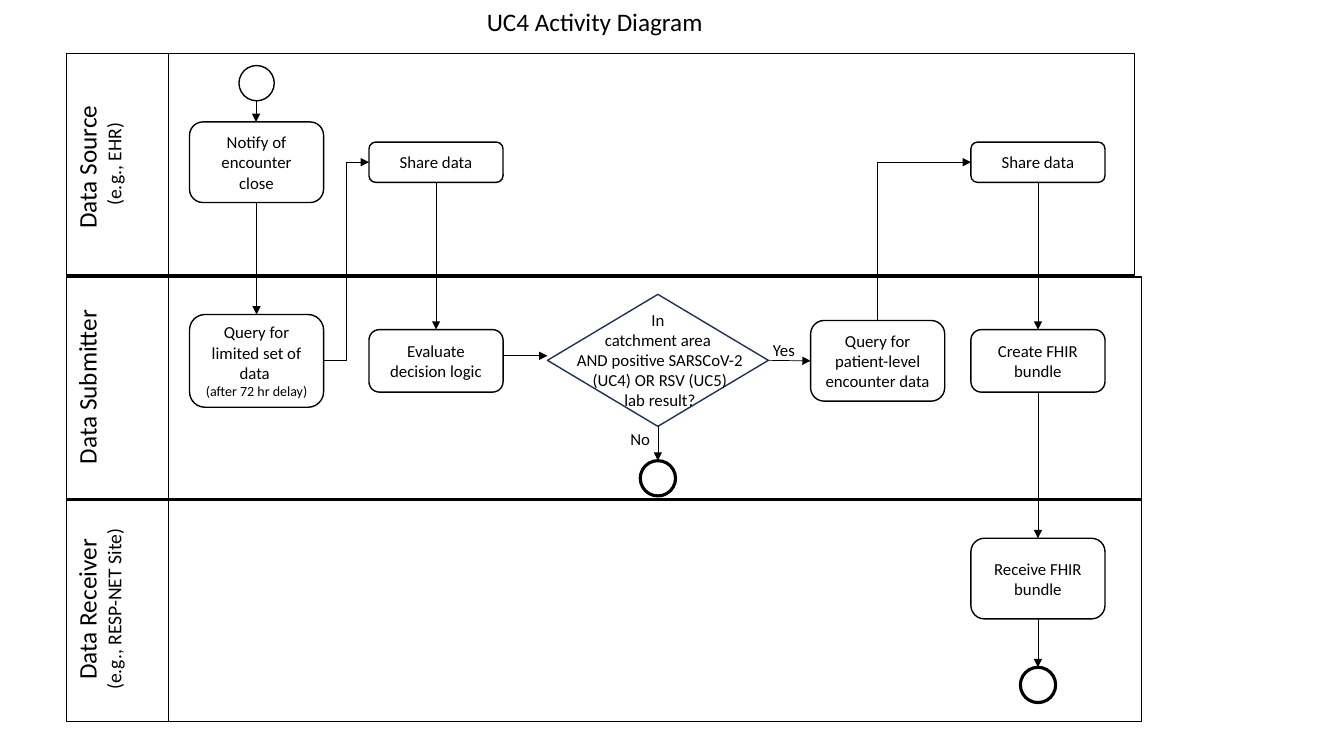
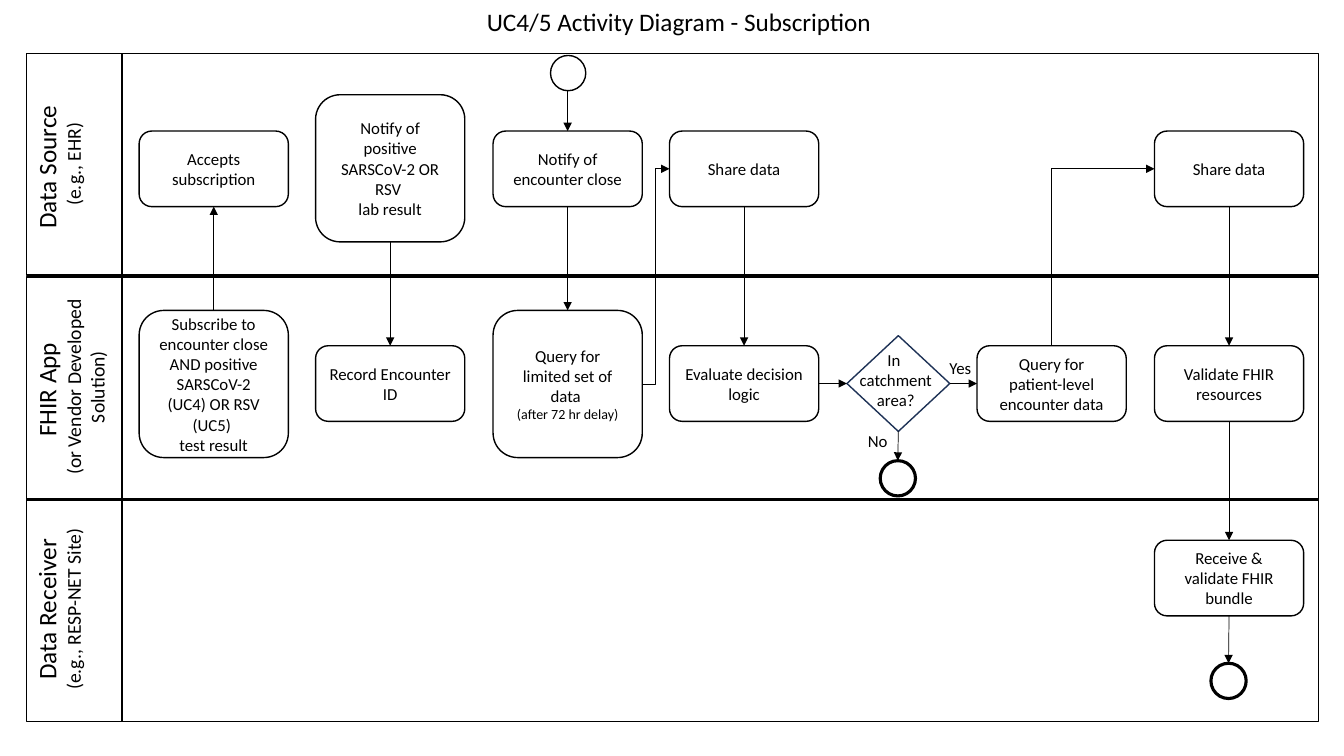
from lxml.etree import SubElement
from pptx import Presentation
from pptx.dml.color import RGBColor
from pptx.enum.shapes import MSO_CONNECTOR as Wire, MSO_SHAPE as Shape
from pptx.enum.text import MSO_ANCHOR as Anchor, MSO_AUTO_SIZE as AutoSize, PP_ALIGN as Align
from pptx.oxml.ns import qn
from pptx.util import Emu, Pt

PX = 9144  # EMU: 100 px to the inch
BLACK, WHITE, NAVY = "000000", "FFFFFF", "1E3256"
FONT = "Calibri"
TITLE_SIZE, NOTE_SIZE, TEXT_SIZE, SMALL_SIZE = 18, 14, 12, 10
THIN, NORMAL, THICK = 0.5, 1, 2.25
TOP, LEFT, BOTTOM, RIGHT = range(4)  # connection sites of a box

LANE_TOPS, LANE_HEIGHT = (53, 275, 496), 220
CIRCLE = 35
SOURCE_LABEL = ["Data Source ", [("(e.g., EHR)", NOTE_SIZE)]]
RECEIVER_LABEL = [[("Data Receiver ", TITLE_SIZE), ("(e.g., RESP-NET Site)", NOTE_SIZE)]]
LIMITED_QUERY = ["Query for limited set of data ", [("(after 72 hr delay)", SMALL_SIZE)]]
PATIENT_QUERY = "Query for patient-level encounter data"


def px(*lengths):
    return [Emu(length * PX) for length in lengths]


def colour(value):
    return RGBColor.from_string(value)


def write(box, text, size=TEXT_SIZE, align=Align.CENTER, anchor=Anchor.TOP):
    """Fill a box with paragraphs, each a string or a list of (text, size) spans."""
    frame = box.text_frame
    frame.word_wrap = True
    frame.vertical_anchor = anchor
    for number, spans in enumerate([text] if isinstance(text, str) else text):
        para = frame.add_paragraph() if number else frame.paragraphs[0]
        para.alignment = align
        for words, span_size in [(spans, size)] if isinstance(spans, str) else spans:
            span = para.add_run()
            span.text = words
            span.font.name, span.font.size = FONT, Pt(span_size)
            span.font.color.rgb = colour(BLACK)


class Diagram:
    """Swimlane style and the slide being drawn."""

    def __init__(self, deck):
        self.deck = deck

    def start_page(self, title, title_width):
        self.page = self.deck.slides.add_slide(self.deck.slide_layouts[6])
        self.label(473, 1, title_width, 40, title, size=TITLE_SIZE, align=Align.LEFT)

    def shape(self, kind, left, top, width, height, fill=None, line=BLACK, weight=NORMAL):
        item = self.page.shapes.add_shape(kind, *px(left, top, width, height))
        item.shadow.inherit = False
        if fill:
            item.fill.solid()
            item.fill.fore_color.rgb = colour(fill)
        else:
            item.fill.background()
        item.line.color.rgb = colour(line)
        item.line.width = Pt(weight)
        return item

    def label(self, left, top, width, height, text, vertical=False, **style):
        box = self.page.shapes.add_textbox(*px(left, top, width, height))
        write(box, text, **style)
        box.text_frame.auto_size = AutoSize.SHAPE_TO_FIT_TEXT
        if vertical:
            box.text_frame._txBody.bodyPr.set("vert", "vert270")

    def lanes(self, left, widths, divider, labels):
        """Draw the lanes; each label is (width, top, height, text)."""
        for top, width in zip(LANE_TOPS, widths):
            self.shape(Shape.RECTANGLE, left, top, width, LANE_HEIGHT, fill=WHITE)
        self.line(Wire.STRAIGHT, (divider, LANE_TOPS[0], divider, LANE_TOPS[-1] + LANE_HEIGHT), NORMAL)
        for width, top, height, text in labels:
            self.label(left, top, width, height, text, vertical=True, size=TITLE_SIZE)

    def step(self, left, top, width, height, text):
        box = self.shape(Shape.FLOWCHART_ALTERNATE_PROCESS, left, top, width, height, fill=WHITE)
        write(box, text, anchor=Anchor.MIDDLE)
        return box

    def decision(self, left, top, width, height):
        return self.shape(Shape.FLOWCHART_DECISION, left, top, width, height, line=NAVY)

    def circle(self, left, top, weight):
        return self.shape(Shape.FLOWCHART_CONNECTOR, left, top, CIRCLE, CIRCLE, weight=weight)

    def line(self, kind, ends, weight=THIN, arrow=False):
        wire = self.page.shapes.add_connector(kind, *px(*ends))
        wire.line.color.rgb = colour(BLACK)
        wire.line.width = Pt(weight)
        if arrow:
            SubElement(wire.line._get_or_add_ln(), qn("a:tailEnd"), type="triangle")
        SubElement(wire._element.spPr, qn("a:effectLst"))
        return wire

    def arrow(self, *ends):
        return self.line(Wire.STRAIGHT, ends, arrow=True)

    def link(self, start, start_site, end, end_site, kind=Wire.STRAIGHT):
        wire = self.line(kind, (0, 0, 0, 0), arrow=True)
        wire.begin_connect(start, start_site)
        wire.end_connect(end, end_site)
        return wire

    def link_up_and_right(self, start, end):
        """Join the top of one box to the left of another with a single corner."""
        wire = self.link(start, TOP, end, LEFT, Wire.ELBOW)
        run, rise = wire.width, wire.height
        middle_x, middle_y = wire.left + run // 2, wire.top + rise // 2
        wire.left, wire.top = Emu(middle_x - rise // 2), Emu(middle_y - run // 2)
        wire.width, wire.height = rise, run
        properties = wire._element.spPr
        frame = properties.find(qn("a:xfrm"))
        for name, value in (("rot", "5400000"), ("flipH", "1"), ("flipV", "1")):
            frame.set(name, value)
        properties.find(qn("a:prstGeom")).set("prst", "bentConnector2")

    def chain_down(self, *boxes):
        for upper, lower in zip(boxes, boxes[1:]):
            self.link(upper, BOTTOM, lower, TOP)


def activity_page(diagram):
    diagram.start_page("UC4 Activity Diagram", 351)
    diagram.lanes(66, (1059, 1066, 1066), 167, [
        (74, 65, 196, SOURCE_LABEL),
        (50, 284, 200, "Data Submitter"),
        (74, 507, 195, RECEIVER_LABEL),
    ])
    width = 133
    notify_x, share_x, query_x, bundle_x = 188, 366, 804, 963

    diagram.circle(237, 65, NORMAL)
    notify = diagram.step(notify_x, 121, width, 80, "Notify of encounter close")
    limited = diagram.step(notify_x, 312, width, 92, LIMITED_QUERY)
    share = diagram.step(share_x, 141, width, 40, "Share data")
    evaluate = diagram.step(share_x, 327, width, 62, "Evaluate decision logic")
    decision = diagram.decision(543, 292, 219, 131)
    stop = diagram.circle(635, 457, THICK)
    patient = diagram.step(query_x, 318, width, 80, PATIENT_QUERY)
    share_more = diagram.step(bundle_x, 141, width, 40, "Share data")
    create = diagram.step(bundle_x, 327, width, 62, "Create FHIR bundle")
    receive = diagram.step(bundle_x, 534, width, 80, "Receive FHIR bundle")
    finish = diagram.circle(1012, 662, THICK)

    diagram.arrow(254, 100, 254, 121)
    diagram.chain_down(notify, limited)
    diagram.link(limited, RIGHT, share, LEFT, Wire.ELBOW)
    diagram.chain_down(share, evaluate)
    diagram.arrow(500, 353, 543, 353)
    diagram.chain_down(decision, stop)
    diagram.link(decision, RIGHT, patient, LEFT)
    diagram.link_up_and_right(patient, share_more)
    diagram.chain_down(share_more, create, receive, finish)

    diagram.label(547, 302, 215, 111, [
        "In ", "catchment area ", "AND positive SARSCoV-2 (UC4) OR RSV (UC5)", "lab result?"])
    diagram.label(745, 332, 65, 31, "Yes")
    diagram.label(607, 420, 56, 30, "No")


def subscription_page(diagram):
    diagram.start_page("UC4/5 Activity Diagram - Subscription", 419)
    diagram.lanes(26, (1282,) * 3, 121, [
        (74, 65, 196, SOURCE_LABEL),
        (98, 284, 200, ["FHIR App ", [("(or Vendor Developed Solution)", NOTE_SIZE)]]),
        (74, 507, 195, RECEIVER_LABEL),
    ])
    size, tall_size = (148, 75), (148, 146)
    source_y, app_y, app_tall_y = 130, 343, 308
    subscribe_x, result_x, notify_x, share_x, query_x, bundle_x = 138, 313, 489, 664, 969, 1145

    accept = diagram.step(subscribe_x, source_y, *size, "Accepts subscription")
    subscribe = diagram.step(subscribe_x, app_tall_y, *tall_size, [
        "Subscribe to encounter close AND positive SARSCoV-2 (UC4) OR RSV (UC5) ", "test result"])
    result = diagram.step(result_x, 94, *tall_size, [
        "Notify of positive SARSCoV-2 OR RSV ", "lab result"])
    record = diagram.step(result_x, app_y, *size, "Record Encounter ID")
    diagram.circle(546, 55, NORMAL)
    notify = diagram.step(notify_x, source_y, *size, "Notify of encounter close")
    limited = diagram.step(notify_x, app_tall_y, *tall_size, LIMITED_QUERY)
    share = diagram.step(share_x, source_y, *size, "Share data")
    evaluate = diagram.step(share_x, app_y, *size, "Evaluate decision logic")
    decision = diagram.decision(840, 333, 102, 95)
    stop = diagram.circle(873, 457, THICK)
    patient = diagram.step(query_x, app_y, *size, PATIENT_QUERY)
    share_more = diagram.step(bundle_x, source_y, *size, "Share data")
    validate = diagram.step(bundle_x, app_y, *size, "Validate FHIR resources")
    receive = diagram.step(bundle_x, 536, *size, "Receive & validate FHIR bundle")
    finish = diagram.circle(1201, 658, THICK)

    diagram.link(subscribe, TOP, accept, BOTTOM)
    diagram.chain_down(result, record)
    diagram.arrow(563, 90, 563, source_y)
    diagram.chain_down(notify, limited)
    diagram.link(limited, RIGHT, share, LEFT, Wire.ELBOW)
    diagram.chain_down(share, evaluate)
    diagram.link(evaluate, RIGHT, decision, LEFT)
    diagram.chain_down(decision, stop)
    diagram.link(decision, RIGHT, patient, LEFT)
    diagram.link_up_and_right(patient, share_more)
    diagram.chain_down(share_more, validate, receive, finish)

    diagram.label(841, 342, 95, 71, ["In ", "catchment ", "area?"])
    diagram.label(919, 350, 67, 30, "Yes")
    diagram.label(848, 422, 45, 30, "No")


def main():
    deck = Presentation()
    deck.slide_width, deck.slide_height = px(1333, 750)
    diagram = Diagram(deck)
    activity_page(diagram)
    subscription_page(diagram)
    deck.save("out.pptx")


if __name__ == "__main__":
    main()
